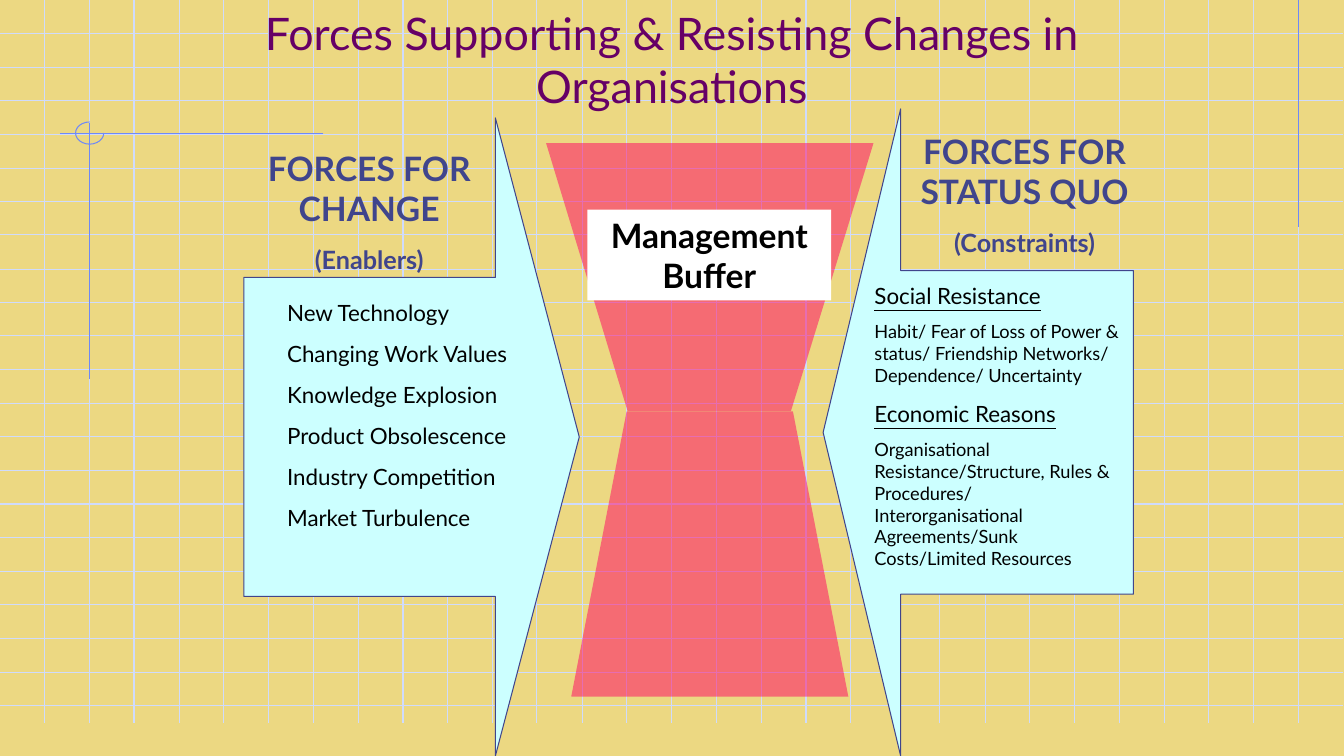
from typing import NamedTuple

from lxml.etree import SubElement
from pptx import Presentation
from pptx.dml.color import RGBColor
from pptx.enum.shapes import MSO_CONNECTOR as Link, MSO_SHAPE as Kind
from pptx.enum.text import MSO_ANCHOR as Anchor, MSO_AUTO_SIZE as Fit, PP_ALIGN as Align
from pptx.oxml.ns import qn
from pptx.util import Pt

PX = 9144  # 100 px to the inch
WIDE, HIGH = 1334, 750
FONT = "Lato"
HUE = {
    "sand": "ECD882", "grid": "CFDBFD", "trim": "6F89F7", "plum": "660066",
    "ice": "CCFFFF", "navy": "40458C", "rose": "FF0066",
    "black": "000000", "white": "FFFFFF",
}


class Box(NamedTuple):
    x: int
    y: int
    w: int
    h: int

    def emu(self) -> list[int]:
        return [n * PX for n in self]


class Para(NamedTuple):
    text: str
    size: int
    hue: str = "black"
    gap: float = 0
    bold: bool = False
    line: bool = False
    align: Align = Align.LEFT


class Arrow(NamedTuple):
    kind: Kind
    box: Box


class Label(NamedTuple):
    box: Box
    head: str
    note: str


ARROWS = [
    Arrow(Kind.RIGHT_ARROW, Box(242, 117, 333, 633)),
    Arrow(Kind.LEFT_ARROW, Box(817, 108, 308, 642)),
]
LABELS = [
    Label(Box(250, 142, 233, 136), "FORCES FOR CHANGE", "(Enablers)"),
    Label(Box(892, 125, 250, 136), "FORCES FOR STATUS QUO", "(Constraints)"),
]
TRIM = [(1289, 0, 1289, 225), (321, 132, 60, 132), (89, 122, 89, 376)]
FUNNEL = [(542, 142), (623, 408), (785, 408), (867, 142)]
DRIVERS = [
    "New Technology", "Changing Work Values", "Knowledge Explosion",
    "Product Obsolescence", "Industry Competition", "Market Turbulence",
]
LIMITS = [
    Para("Social Resistance", 16, line=True),
    Para("Habit/ Fear of Loss of Power & status/ Friendship Networks/ "
         "Dependence/ Uncertainty", 13, gap=8.1),
    Para("Economic Reasons", 16, gap=10, line=True),
    Para("Organisational Resistance/Structure, Rules & Procedures/ "
         "Interorganisational Agreements/Sunk Costs/Limited Resources", 13, gap=8.1),
]


def rgb(hue: str) -> RGBColor:
    return RGBColor.from_string(HUE[hue])


def rule(slide, x1: int, y1: int, x2: int, y2: int, hue: str) -> None:
    line = slide.shapes.add_connector(Link.STRAIGHT, *(n * PX for n in (x1, y1, x2, y2)))
    line.line.color.rgb = rgb(hue)
    line.line.width = Pt(0.75)
    SubElement(line.element.spPr, qn("a:effectLst"))


def paint(shape, fill: str = "", edge: str = "", alpha: int = 100) -> None:
    """Set fill, outline and opacity in percent; an empty hue means none."""
    shape.shadow.inherit = False
    if fill:
        shape.fill.solid()
        shape.fill.fore_color.rgb = rgb(fill)
    else:
        shape.fill.background()
    if edge:
        shape.line.color.rgb = rgb(edge)
        shape.line.width = Pt(0.75)
    else:
        shape.line.fill.background()
    if alpha < 100:
        tint = shape.element.spPr.find(qn("a:solidFill"))[0]
        SubElement(tint, qn("a:alpha"), val=str(alpha * 1000))


def write(shape, paras: list[Para], anchor: Anchor = Anchor.TOP) -> None:
    frame = shape.text_frame
    frame.word_wrap = True
    frame.auto_size = Fit.NONE
    frame.vertical_anchor = anchor
    for i, para in enumerate(paras):
        p = frame.add_paragraph() if i else frame.paragraphs[0]
        p.text = para.text
        p.alignment = para.align
        p.space_before = Pt(para.gap)
        props = p._p.get_or_add_pPr()
        props.set("marL", "0")
        props.set("indent", "0")
        SubElement(props, qn("a:buNone"))
        font = p.font
        font.name, font.size, font.bold = FONT, Pt(para.size), para.bold
        font.underline = para.line
        font.color.rgb = rgb(para.hue)


def place(holder, box: Box) -> None:
    """Move a placeholder to its box and to the front."""
    holder.left, holder.top, holder.width, holder.height = box.emu()
    holder.element.getparent().append(holder.element)


def backdrop(slide) -> None:
    for i in range(1, 22):
        y = round(i * 100 / 3)
        rule(slide, 0, y, 1333, y, "grid")
    for i in range(1, 30):
        x = round(i * 400 / 9)
        rule(slide, x, 0, x, 717, "grid")
    for ends in TRIM:
        rule(slide, *ends, "trim")
    arc = slide.shapes.add_shape(Kind.ARC, *Box(75, 121, 28, 22).emu())
    arc.adjustments[0], arc.adjustments[1] = 0, 162
    paint(arc, edge="trim")


def buffer(slide) -> None:
    base = slide.shapes.add_shape(
        Kind.FLOWCHART_MANUAL_OPERATION, *Box(567, 408, 275, 283).emu())
    base.rotation = 180
    pen = slide.shapes.build_freeform(*FUNNEL[0], scale=PX)
    pen.add_line_segments(FUNNEL[1:], close=True)
    for part in (base, pen.convert_to_shape()):
        paint(part, "rose", alpha=50)


def main() -> None:
    deck = Presentation()
    deck.slide_width, deck.slide_height = WIDE * PX, HIGH * PX
    slide = deck.slides.add_slide(deck.slide_layouts[3])
    slide.background.fill.solid()
    slide.background.fill.fore_color.rgb = rgb("sand")
    title, left, right = slide.placeholders

    backdrop(slide)
    place(title, Box(167, 0, 1000, 117))
    write(title, [Para("Forces Supporting & Resisting Changes in Organisations",
                       32, "plum", align=Align.CENTER)], Anchor.BOTTOM)

    for arrow in ARROWS:
        shape = slide.shapes.add_shape(arrow.kind, *arrow.box.emu())
        shape.adjustments[0], shape.adjustments[1] = 0.5, 0.25
        paint(shape, "ice", "navy")
    buffer(slide)

    place(left, Box(275, 292, 258, 240))
    write(left, [Para(text, 16, gap=10 if i else 0) for i, text in enumerate(DRIVERS)])
    place(right, Box(858, 275, 267, 317))
    write(right, LIMITS)

    for label in LABELS:
        write(slide.shapes.add_textbox(*label.box.emu()), [
            Para(label.head, 24, "navy", bold=True, align=Align.CENTER),
            Para(label.note, 18, "navy", 11.2, bold=True, align=Align.CENTER),
        ])
    plate = slide.shapes.add_shape(Kind.RECTANGLE, *Box(583, 208, 242, 90).emu())
    paint(plate, "white")
    write(plate, [Para("Management Buffer", 24, bold=True, align=Align.CENTER)])

    deck.save("out.pptx")


if __name__ == "__main__":
    main()
